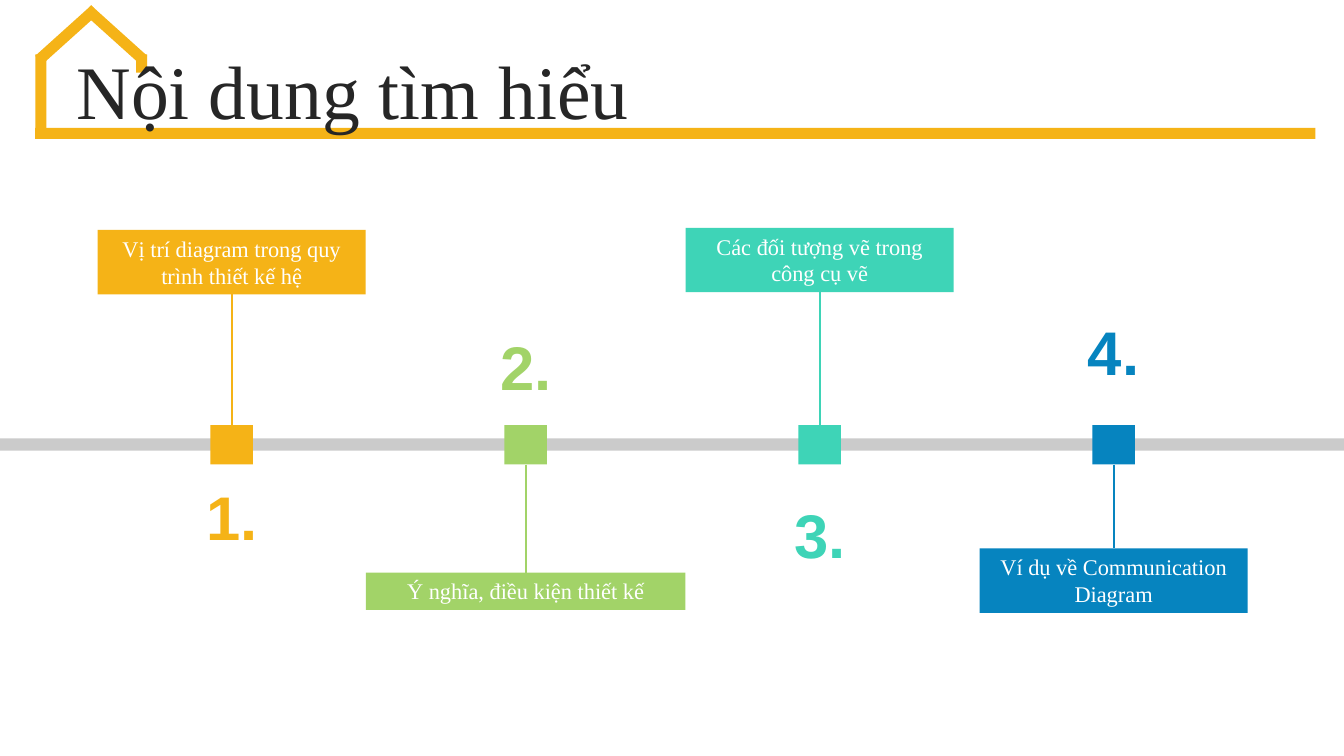
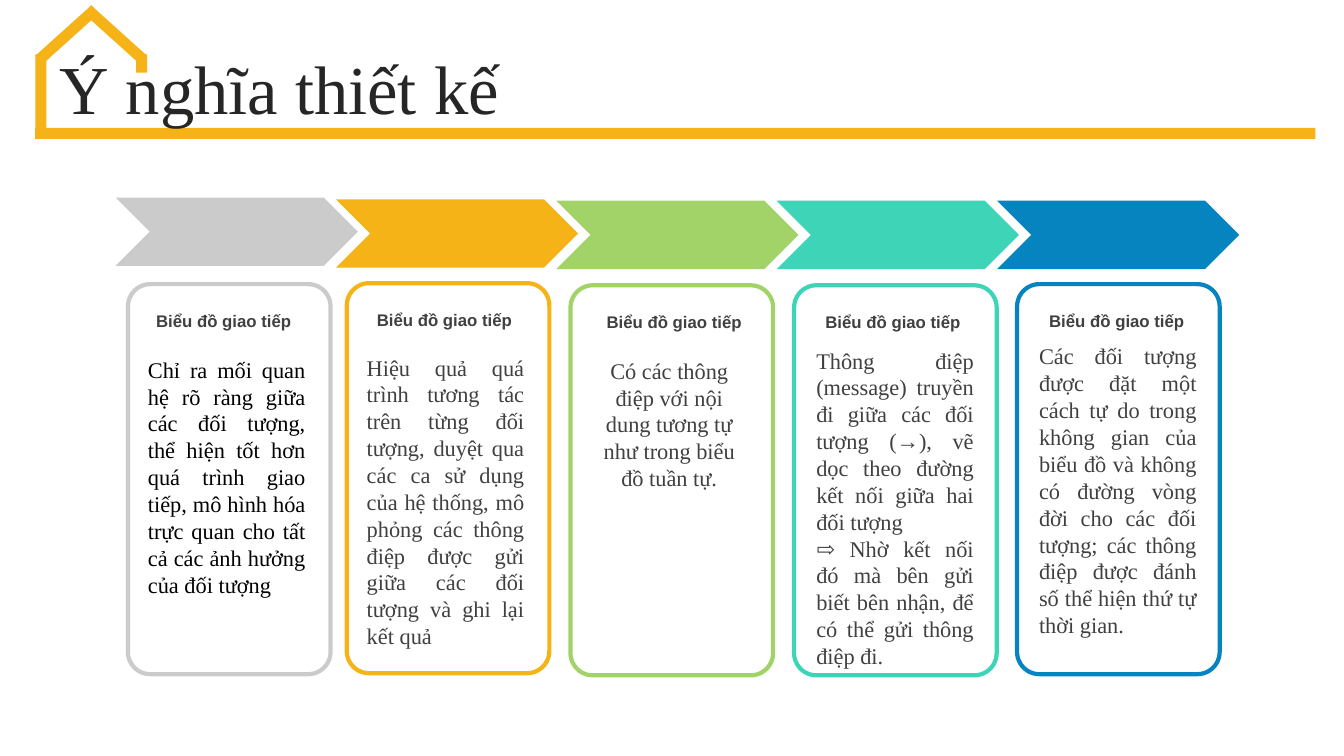
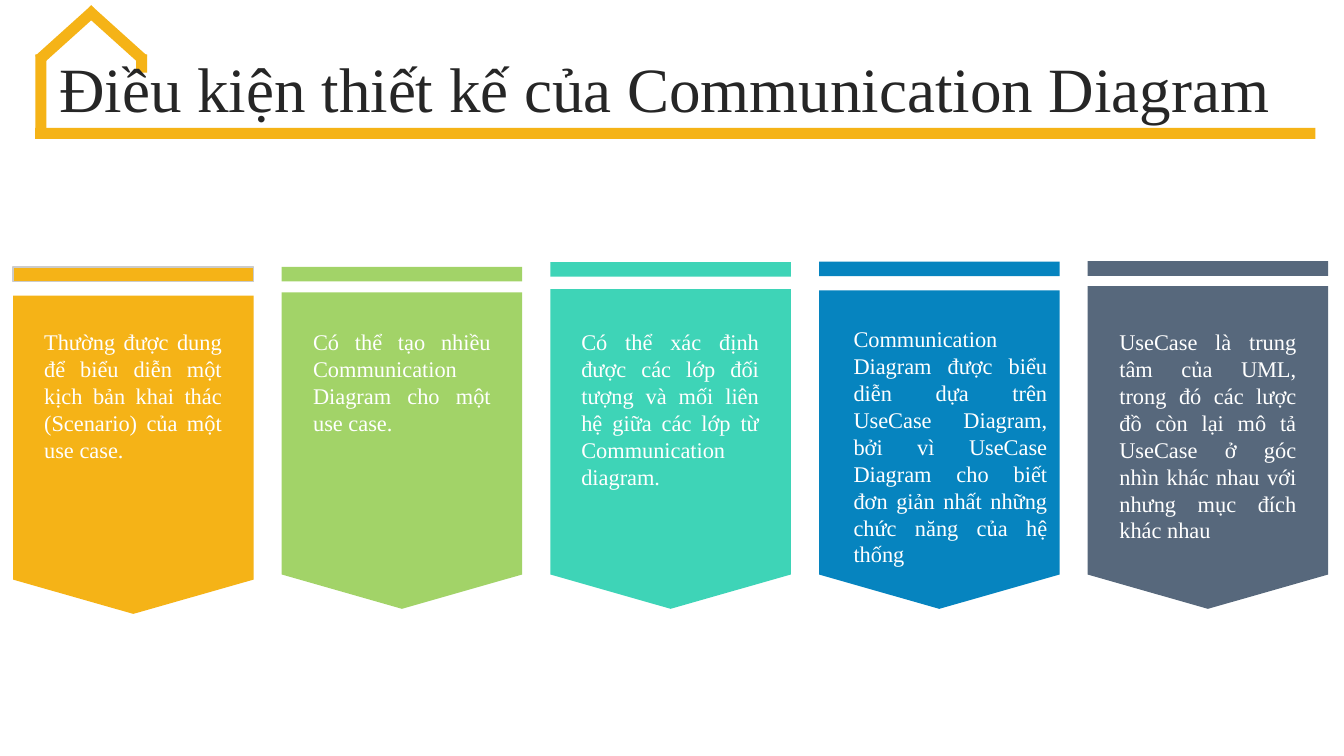
"""Build three slides on communication diagrams: contents, meaning and design conditions."""
from lxml.etree import SubElement
from pptx import Presentation
from pptx.dml.color import RGBColor
from pptx.enum.shapes import MSO_CONNECTOR, MSO_SHAPE
from pptx.enum.text import MSO_ANCHOR, PP_ALIGN
from pptx.oxml.ns import qn
from pptx.util import Pt

rgb = RGBColor.from_string
ORANGE, GREEN, TEAL, BLUE = "F5B317", "A2D368", "3ED4B7", "0684BF"
GREY, SLATE, WHITE, BLACK = "CBCBCB", "57687C", "FFFFFF", "000000"
TITLE, BODY = "262626", "404040"
SERIF, SANS = "Times New Roman", "Arial"
LEFT, CENTER, JUSTIFY = PP_ALIGN.LEFT, PP_ALIGN.CENTER, PP_ALIGN.JUSTIFY
TOP, MIDDLE = MSO_ANCHOR.TOP, MSO_ANCHOR.MIDDLE


def paint(sp, fill, line=None, width=1):
    sp.shadow.inherit = False
    sp.fill.solid()
    sp.fill.fore_color.rgb = rgb(fill)
    if line:
        sp.line.color.rgb = rgb(line)
        sp.line.width = Pt(width)
    else:
        sp.line.fill.background()
    return sp


def write(sp, text, font, size, color, align, anchor=TOP, bold=False):
    tf = sp.text_frame
    tf.word_wrap = True
    tf.vertical_anchor = anchor
    tf.text = text
    for p in tf.paragraphs:
        p.alignment = align
        p.font.name = font
        p.font.size = Pt(size)
        p.font.bold = bold
        p.font.color.rgb = rgb(color)
    return tf


prs = Presentation()
prs.slide_width, prs.slide_height = Pt(960), Pt(540)

house = [
    (25.2, 91.4, 914.4, 7.9, 0),
    (25.2, 38.9, 7.9, 57.6, 0),
    (97.2, 38.9, 7.9, 13, 0),
    (43.9, -2.2, 7.9, 54, 48),
    (78.5, -2.2, 7.9, 54, 312),
]
titles = [
    ("Nội dung tìm hiểu", 54, 47.5, 39.6),
    ("Ý nghĩa thiết kế", 49, 35.3, 37.4),
    ("Điều kiện thiết kế của Communication Diagram", 45, 35.3, 37.4),
]
slides = []
for text, size, x, y in titles:
    s = prs.slides.add_slide(prs.slide_layouts[6])
    slides.append(s)
    for *rect, angle in house:
        sp = paint(s.shapes.add_shape(MSO_SHAPE.RECTANGLE, *map(Pt, rect)), ORANGE)
        sp.rotation = angle
    sp = s.shapes.add_textbox(Pt(x), Pt(y), Pt(888), Pt(56.9))
    p = write(sp, text, SERIF, size, TITLE, LEFT, MIDDLE).paragraphs[0]
    p.line_spacing = 0.9
    p.space_before = Pt(10)

s = slides[0]
paint(s.shapes.add_shape(MSO_SHAPE.RECTANGLE, 0, Pt(313.2), Pt(960), Pt(8.8)), GREY)
topics = [
    ("Vị trí diagram trong quy trình thiết kế hệ", ORANGE, 164.2, 191.5, 46.1, 343.4),
    ("Ý nghĩa, điều kiện thiết kế", GREEN, 409, 228.2, 26.6, 236.2),
    ("Các đối tượng vẽ trong công cụ vẽ", TEAL, 162.7, 191.5, 46.1, 356.4),
    ("Ví dụ về Communication Diagram", BLUE, 391.7, 191.5, 46.1, 225.4),
]
for i, (text, color, y, w, h, number_y) in enumerate(topics):
    cx = 165.5 + 210 * i
    node = paint(s.shapes.add_shape(
        MSO_SHAPE.RECTANGLE, Pt(cx - 15.2), Pt(303.6), Pt(30.4), Pt(28.2)), color)
    label = paint(s.shapes.add_shape(
        MSO_SHAPE.RECTANGLE, Pt(cx - w / 2), Pt(y), Pt(w), Pt(h)), color)
    write(label, text, SERIF, 16, WHITE, CENTER)
    stem = s.shapes.add_connector(MSO_CONNECTOR.STRAIGHT, 0, 0, 0, 0)
    above = y < 303
    stem.begin_connect(node, 0 if above else 2)
    stem.end_connect(label, 2 if above else 0)
    stem.line.color.rgb = rgb(color)
    stem.line.width = Pt(1.5)
    SubElement(stem._element.spPr, qn("a:effectLst"))
    sp = s.shapes.add_textbox(Pt(cx - 78.5), Pt(number_y), Pt(157), Pt(50.4))
    write(sp, f"{i + 1}.", SANS, 44, color, CENTER, MIDDLE, True)

s = slides[1]
cards = [
    (GREY, 141.1, 91.4, 203, 97.2, 98.6, 250.6, 200.9, BLACK, JUSTIFY,
     "Chỉ ra mối quan hệ rõ ràng giữa các đối tượng, thể hiện tốt hơn quá trình giao tiếp, "
     "mô hình hóa trực quan cho tất cả các ảnh hưởng của đối tượng"),
    (ORANGE, 142.4, 247.7, 202.3, 254.9, 254.9, 249.1, 234.7, BODY, JUSTIFY,
     "Hiệu quả quá trình tương tác trên từng đối tượng, duyệt qua các ca sử dụng của hệ thống, "
     "mô phỏng các thông điệp được gửi giữa các đối tượng và ghi lại kết quả"),
    (GREEN, 143.4, 407.5, 203.8, 419, 414.7, 251.3, 104.4, BODY, CENTER,
     "Có các thông điệp với nội dung tương tự như trong biểu đồ tuần tự."),
    (TEAL, 143.4, 567.2, 203.8, 575.3, 576, 244.1, 239.8, BODY, JUSTIFY,
     "Thông điệp (message) truyền đi giữa các đối tượng (→), vẽ dọc theo đường kết nối "
     "giữa hai đối tượng\n"
     "⇨ Nhờ kết nối đó mà bên gửi biết bên nhận, để có thể gửi thông điệp đi."),
    (BLUE, 143.4, 726.5, 203, 735.1, 735.1, 241.2, 220.3, BODY, JUSTIFY,
     "Các đối tượng được đặt một cách tự do trong không gian của biểu đồ và không có đường "
     "vòng đời cho các đối tượng; các thông điệp được đánh số thể hiện thứ tự thời gian."),
]
for i, card in enumerate(cards):
    color, arrow_y, x, y, head_x, body_x, body_y, body_h, ink, align, text = card
    paint(s.shapes.add_shape(
        MSO_SHAPE.CHEVRON, Pt(82.6 + 157.4 * i), Pt(arrow_y), Pt(173), Pt(48.8)), color)
    sp = paint(s.shapes.add_shape(
        MSO_SHAPE.ROUNDED_RECTANGLE, Pt(x), Pt(y), Pt(144.7), Pt(278.6)), WHITE, color, 3)
    sp.adjustments[0] = 0.11
    sp = s.shapes.add_textbox(Pt(head_x), Pt(y + 15.1), Pt(125.3), Pt(21.8))
    write(sp, "Biểu đồ giao tiếp", SANS, 12, BODY, CENTER, bold=True)
    sp = s.shapes.add_textbox(Pt(body_x), Pt(body_y), Pt(126.7), Pt(body_h))
    write(sp, text, SERIF, 16, ink, align)

s = slides[2]
pennants = [
    (ORANGE, GREY, 190.6, 211.2, 414, 24.5, 231.1, 141.1, 104.4,
     "Thường được dung để biểu diễn một kịch bản khai thác (Scenario) của một use case."),
    (GREEN, None, 190.6, 208.8, 410.4, 216.6, 231.1, 141.1, 85,
     "Có thể tạo nhiều Communication Diagram cho một use case."),
    (TEAL, None, 187.2, 206.6, 410.4, 408.2, 231.1, 141.1, 123.8,
     "Có thể xác định được các lớp đối tượng và mối liên hệ giữa các lớp từ "
     "Communication diagram."),
    (BLUE, None, 186.8, 207.4, 410.4, 602.6, 229, 152.6, 181.4,
     "Communication Diagram được biểu diễn dựa trên UseCase Diagram, bởi vì UseCase Diagram "
     "cho biết đơn giản nhất những chức năng của hệ thống"),
    (SLATE, None, 186.6, 204.3, 410.4, 792.5, 231.1, 140.6, 162.7,
     "UseCase là trung tâm của UML, trong đó các lược đồ còn lại mô tả UseCase ở góc nhìn "
     "khác nhau với nhưng mục đích khác nhau"),
]
for i, (color, edge, bar_y, top, side, text_x, text_y, w, h, text) in enumerate(pennants):
    x = 9.3 + 191.9 * i
    right = x + 171.8
    paint(s.shapes.add_shape(
        MSO_SHAPE.RECTANGLE, Pt(x), Pt(bar_y), Pt(171.8), Pt(10.4)), color, edge)
    outline = s.shapes.build_freeform(Pt(x), Pt(top))
    corners = [(right, top), (right, side), (x + 85.9, side + 24.5), (x, side)]
    outline.add_line_segments([(Pt(a), Pt(b)) for a, b in corners])
    paint(outline.convert_to_shape(), color)
    sp = s.shapes.add_textbox(Pt(text_x), Pt(text_y), Pt(w), Pt(h))
    write(sp, text, SERIF, 16, WHITE, JUSTIFY)

prs.save("out.pptx")
